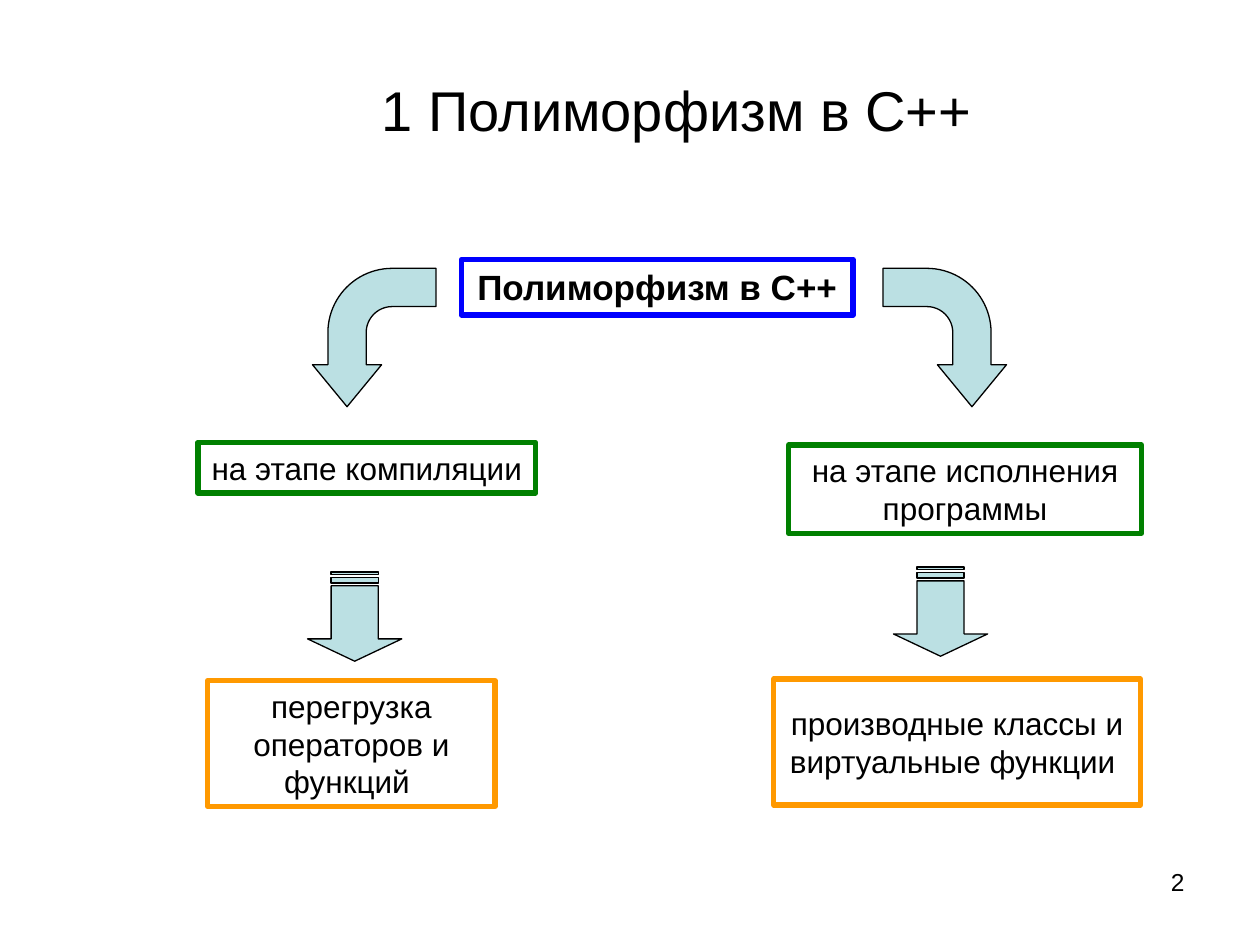
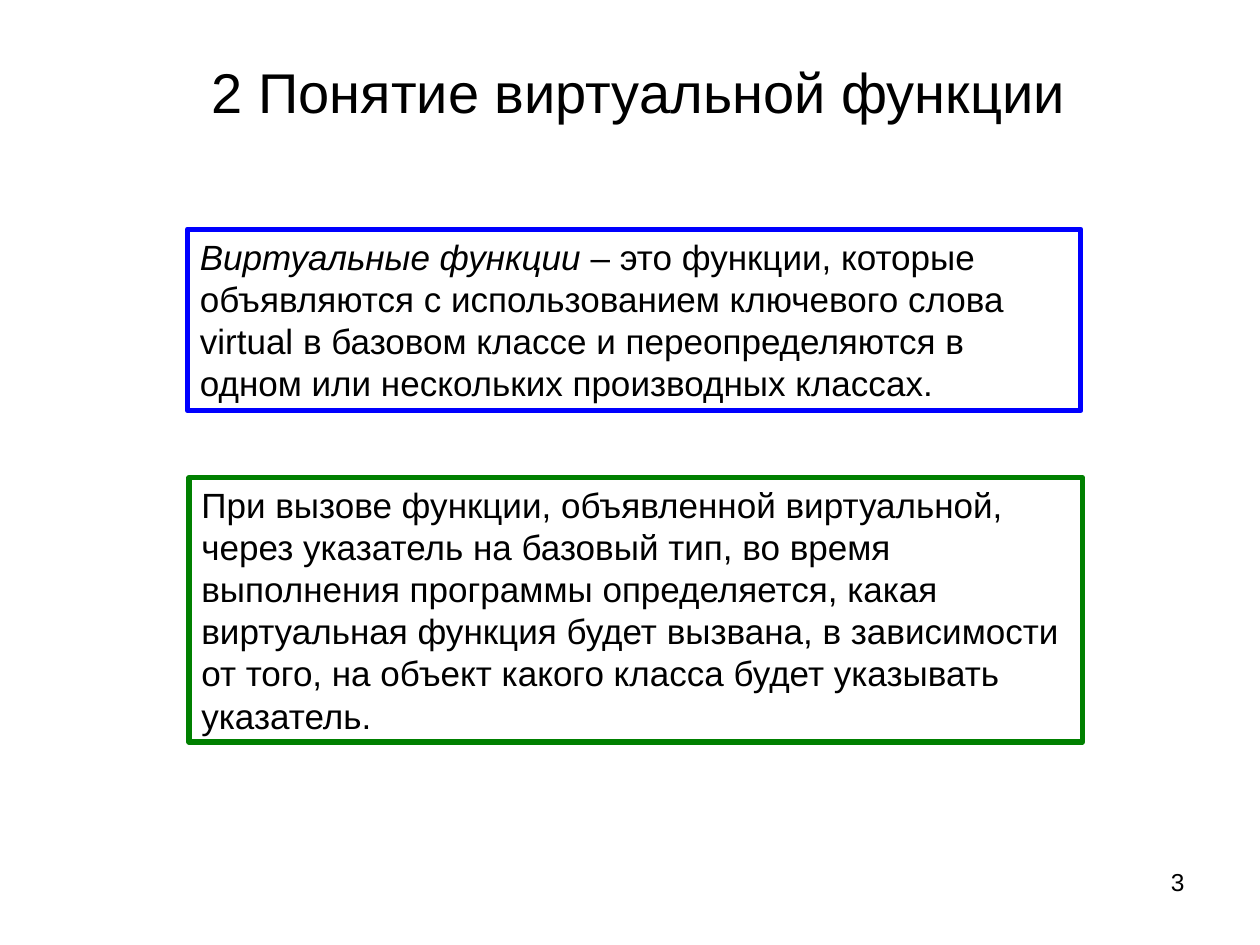
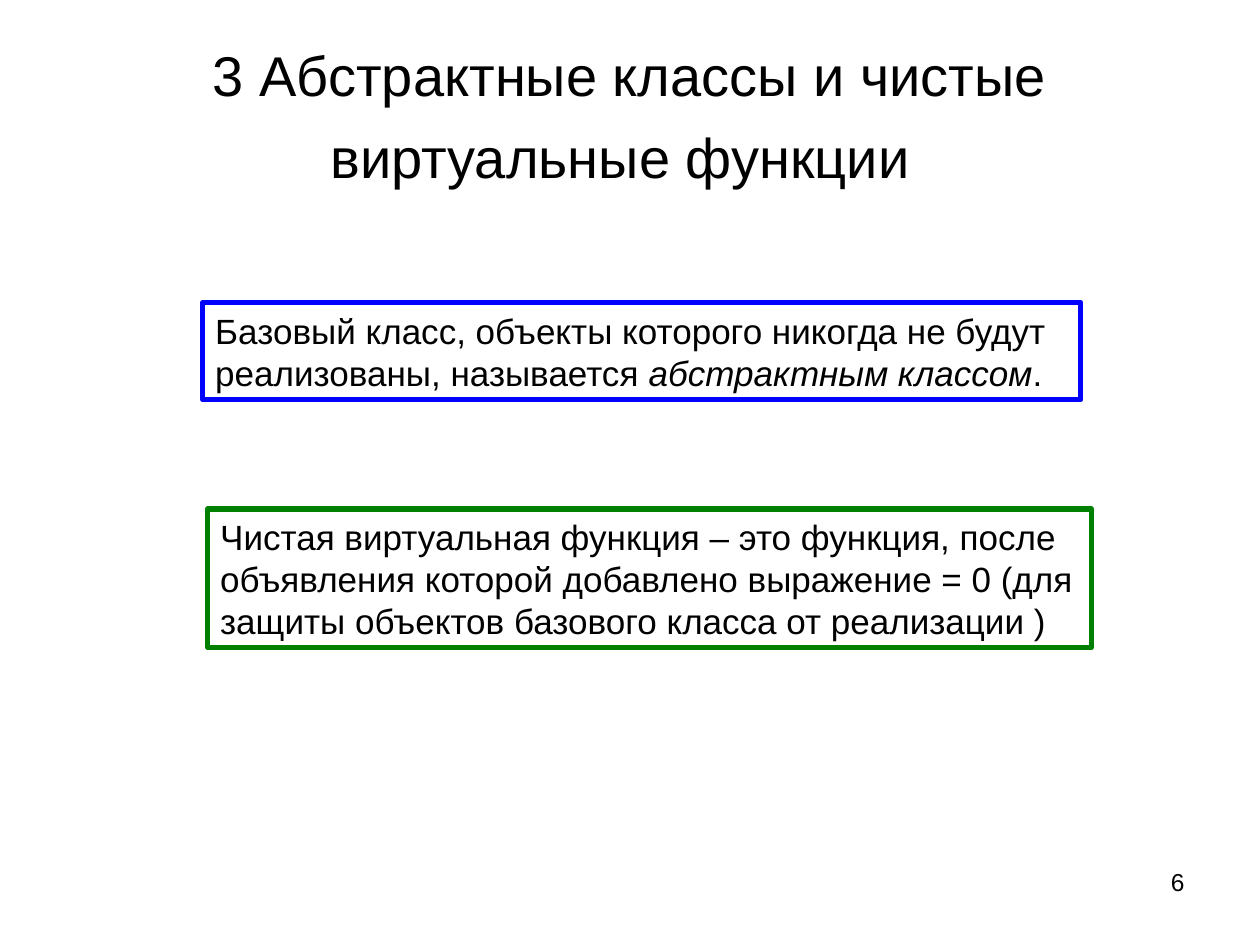
from dataclasses import dataclass

import pptx
import pptx.dml.color
import pptx.enum.shapes
import pptx.enum.text
import pptx.shapes.autoshape
import pptx.slide
import pptx.text.text
import pptx.util

Cm = pptx.util.Cm
Pt = pptx.util.Pt
RGB = pptx.dml.color.RGBColor
Preset = pptx.enum.shapes.MSO_SHAPE
Align = pptx.enum.text.PP_ALIGN
Anchor = pptx.enum.text.MSO_ANCHOR
AutoSize = pptx.enum.text.MSO_AUTO_SIZE


@dataclass(frozen=True)
class Theme:
    font: str = "Arial"
    ink: RGB = RGB(0x00, 0x00, 0x00)
    blue: RGB = RGB(0x00, 0x00, 0xFF)
    green: RGB = RGB(0x00, 0x80, 0x00)
    orange: RGB = RGB(0xFF, 0x99, 0x00)
    arrow_fill: RGB = RGB(0xBB, 0xE0, 0xE3)
    title_size: int = 32
    title_tail_size: int = 40
    body_size: int = 20
    label_size: int = 18
    number_size: int = 14
    frame_width: float = 3
    arrow_width: float = 0.75


THEME = Theme()


@dataclass(frozen=True)
class Area:
    """Left, top, width and height in centimetres."""
    left: float
    top: float
    width: float
    height: float

    def lengths(self) -> tuple[Cm, Cm, Cm, Cm]:
        return Cm(self.left), Cm(self.top), Cm(self.width), Cm(self.height)


@dataclass(frozen=True)
class Run:
    text: str
    italic: bool | None = None
    size: int | None = None


@dataclass(frozen=True)
class Frame:
    area: Area
    color: RGB
    runs: tuple[Run, ...]
    size: int = THEME.body_size
    align: Align = Align.LEFT
    anchor: Anchor = Anchor.MIDDLE
    bold: bool = False


@dataclass(frozen=True)
class Arrow:
    preset: Preset
    area: Area
    rotation: int
    adjustments: tuple[float, ...]
    mirrored: bool = False


@dataclass(frozen=True)
class Page:
    number: int
    title_area: Area
    title: tuple[Run, ...]
    frames: tuple[Frame, ...]
    arrows: tuple[Arrow, ...] = ()


NUMBER_AREA = Area(18.21, 17.35, 5.92, 1.32)


def label(area: Area, color: RGB, text: str, anchor: Anchor = Anchor.MIDDLE) -> Frame:
    return Frame(area, color, (Run(text),), THEME.label_size, Align.CENTER, anchor)


def bent_arrow(left: float, rotation: int, mirrored: bool = False) -> Arrow:
    return Arrow(Preset.BENT_ARROW, Area(left, 5.56, 2.79, 2.49), rotation,
                 (0.31, 0.28, 0.34, 0.52), mirrored)


def striped_arrow(left: float, top: float) -> Arrow:
    return Arrow(Preset.STRIPED_RIGHT_ARROW, Area(left, top, 1.8, 1.9), 90, (0.5, 0.25))


PAGES = (
    Page(
        2, Area(5.16, 1.02, 16.97, 2.36), (Run("1 Полиморфизм в С++"),),
        (
            Frame(Area(9.3, 5.23, 7.9, 1.12), THEME.blue, (Run("Полиморфизм в С++"),),
                  align=Align.CENTER, anchor=Anchor.TOP, bold=True),
            label(Area(15.9, 8.97, 7.11, 1.78), THEME.green, "на этапе исполнения программы"),
            label(Area(3.99, 8.92, 6.81, 1.02), THEME.green, "на этапе компиляции ", Anchor.TOP),
            label(Area(4.19, 13.72, 5.79, 2.54), THEME.orange,
                  "перегрузка операторов и функций ", Anchor.TOP),
            label(Area(15.6, 13.69, 7.39, 2.54), THEME.orange,
                  "производные классы и виртуальные функции "),
        ),
        (
            striped_arrow(6.25, 11.48),
            striped_arrow(18.06, 11.38),
            bent_arrow(6.15, 270, mirrored=True),
            bent_arrow(17.65, 90),
        ),
    ),
    Page(
        3, Area(1.45, 0.97, 22.86, 1.75), (Run("2 Понятие виртуальной функции"),),
        (
            Frame(Area(3.78, 4.62, 18.01, 3.66), THEME.blue, (
                Run("Виртуальные функции", italic=True),
                Run(" – это функции, которые объявляются с использованием ключевого слова "
                    "virtual в базовом классе и переопределяются в одном или нескольких "
                    "производных классах."),
            ), anchor=Anchor.TOP),
            Frame(Area(3.81, 9.63, 18.01, 5.33), THEME.green, (
                Run("При вызове функции, объявленной виртуальной, через указатель на базовый "
                    "тип, во время выполнения программы определяется, какая виртуальная функция "
                    "будет вызвана, в зависимости от того, на объект какого класса будет "
                    "указывать указатель."),
            )),
        ),
    ),
    Page(
        6, Area(1.27, 0.76, 22.86, 3.18),
        (Run("3 Абстрактные классы и чистые виртуальные функции"),
         Run(" ", size=THEME.title_tail_size)),
        (
            Frame(Area(4.09, 6.1, 17.7, 1.96), THEME.blue, (
                Run("Базовый класс, объекты которого никогда не будут реализованы, называется "),
                Run("абстрактным классом", italic=True),
                Run("."),
            )),
            Frame(Area(4.19, 10.26, 17.81, 2.79), THEME.green, (
                Run("Чистая виртуальная функция – это функция, после объявления которой "
                    "добавлено выражение = 0 (для защиты объектов базового класса от "
                    "реализации )"),
            )),
        ),
    ),
)


def write(text_frame: pptx.text.text.TextFrame, runs: tuple[Run, ...], size: int,
          align: Align, anchor: Anchor, bold: bool = False) -> None:
    text_frame.word_wrap = True
    text_frame.vertical_anchor = anchor
    paragraph = text_frame.paragraphs[0]
    paragraph.alignment = align
    paragraph.font.name = THEME.font
    paragraph.font.size = Pt(size)
    paragraph.font.bold = bold
    paragraph.font.color.rgb = THEME.ink
    for part in runs:
        run = paragraph.add_run()
        run.text = part.text
        if part.italic:
            run.font.italic = True
        if part.size:
            run.font.size = Pt(part.size)


def add_text(slide: pptx.slide.Slide, area: Area, runs: tuple[Run, ...], size: int,
             align: Align, anchor: Anchor) -> None:
    box = slide.shapes.add_textbox(*area.lengths())
    write(box.text_frame, runs, size, align, anchor)


def add_outlined(slide: pptx.slide.Slide, preset: Preset, area: Area, color: RGB,
                 width: float) -> pptx.shapes.autoshape.Shape:
    shape = slide.shapes.add_shape(preset, *area.lengths())
    shape.shadow.inherit = False
    shape.line.color.rgb = color
    shape.line.width = Pt(width)
    return shape


def add_frame(slide: pptx.slide.Slide, frame: Frame) -> None:
    shape = add_outlined(slide, Preset.RECTANGLE, frame.area, frame.color, THEME.frame_width)
    shape.fill.background()
    write(shape.text_frame, frame.runs, frame.size, frame.align, frame.anchor, frame.bold)
    shape.text_frame.auto_size = AutoSize.SHAPE_TO_FIT_TEXT


def add_arrow(slide: pptx.slide.Slide, arrow: Arrow) -> None:
    shape = add_outlined(slide, arrow.preset, arrow.area, THEME.ink, THEME.arrow_width)
    shape.fill.solid()
    shape.fill.fore_color.rgb = THEME.arrow_fill
    shape.rotation = arrow.rotation
    for index, value in enumerate(arrow.adjustments):
        shape.adjustments[index] = value
    if arrow.mirrored:
        shape.element.spPr.xfrm.set("flipH", "1")


def add_page(presentation: pptx.presentation.Presentation, page: Page) -> None:
    slide = presentation.slides.add_slide(presentation.slide_layouts[6])
    add_text(slide, page.title_area, page.title, THEME.title_size, Align.CENTER, Anchor.MIDDLE)
    for frame in page.frames:
        add_frame(slide, frame)
    for arrow in page.arrows:
        add_arrow(slide, arrow)
    add_text(slide, NUMBER_AREA, (Run(str(page.number)),), THEME.number_size,
             Align.RIGHT, Anchor.TOP)


def main() -> None:
    presentation = pptx.Presentation()
    presentation.slide_width = Cm(25.4)
    presentation.slide_height = Cm(19.05)
    for page in PAGES:
        add_page(presentation, page)
    presentation.save("out.pptx")


if __name__ == "__main__":
    main()
